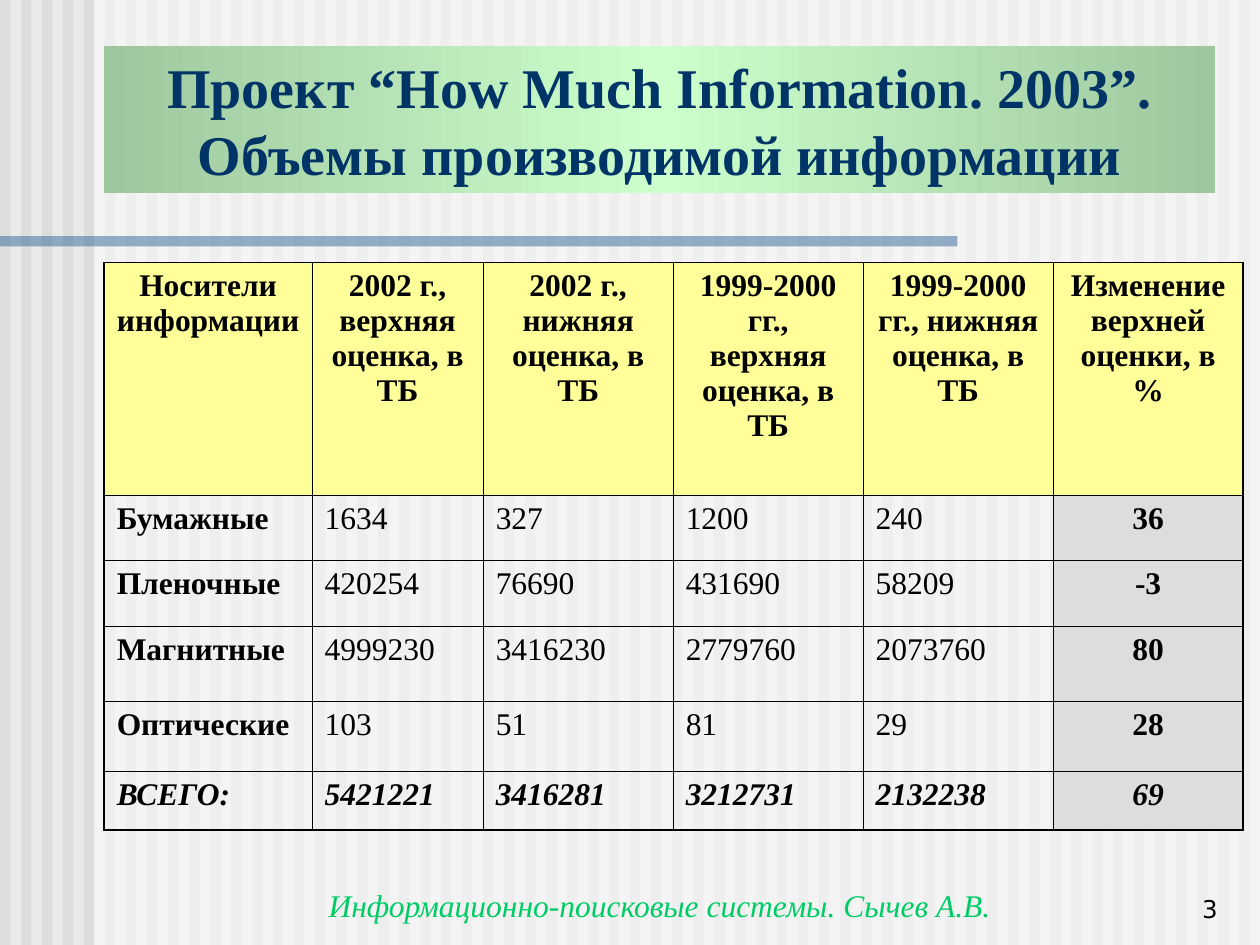
from dataclasses import dataclass

from lxml.etree import SubElement
from pptx import Presentation
from pptx.dml.color import RGBColor
from pptx.enum.shapes import MSO_SHAPE as Shape
from pptx.enum.text import MSO_ANCHOR as Anchor, PP_ALIGN as Align
from pptx.oxml.ns import qn
from pptx.util import Cm, Pt


@dataclass(frozen=True)
class Theme:
    background: str = "EAEAEA"
    stripe: str = "DDDDDD"
    veil: str = "FFFFFF"
    accent: str = "336699"
    title: str = "003366"
    title_edge: str = "9FC79F"
    title_middle: str = "CCFFCC"
    header: str = "FFFF99"
    change: str = "DDDDDD"
    text: str = "000000"
    footer: str = "00CC66"
    serif: str = "Times New Roman"
    sans: str = "DejaVu Sans"
    title_size: int = 32
    body_size: int = 18
    number_size: int = 14
    inner_line: float = 0.45
    outer_line: float = 1.08


THEME = Theme()
WIDTH, HEIGHT = 25.4, 19.05
STRIPE_COUNT = 60
COLUMN_WIDTHS = [4.19, 3.45, 3.83, 3.83, 3.83, 3.83]
ROW_HEIGHTS = [4.7, 1.31, 1.33, 1.51, 1.41, 1.18]
ROWS = [
    ["Носители информации", "2002 г., верхняя оценка, в ТБ", "2002 г., нижняя оценка, в ТБ",
     "1999-2000 гг., верхняя оценка, в ТБ", "1999-2000 гг., нижняя оценка, в ТБ",
     "Изменение верхней оценки, в %"],
    ["Бумажные", "1634", "327", "1200", "240", "36"],
    ["Пленочные", "420254", "76690", "431690", "58209", "-3"],
    ["Магнитные", "4999230", "3416230", "2779760", "2073760", "80"],
    ["Оптические", "103", "51", "81", "29", "28"],
    ["ВСЕГО:", "5421221", "3416281", "3212731", "2132238", "69"],
]


def write_text(text_frame, text, color, align=Align.LEFT, **font_format):
    text_frame.word_wrap = True
    paragraph = text_frame.paragraphs[0]
    paragraph.alignment = align
    run = paragraph.add_run()
    run.text = text
    run.font.color.rgb = RGBColor.from_string(color)
    for name, value in font_format.items():
        setattr(run.font, name, value)


def add_rectangle(slide, box, color, opacity=100):
    shape = slide.shapes.add_shape(Shape.RECTANGLE, *map(Cm, box))
    shape.shadow.inherit = False
    shape.line.fill.background()
    shape.fill.solid()
    shape.fill.fore_color.rgb = RGBColor.from_string(color)
    if opacity < 100:
        fill_color = shape.element.spPr.find(qn("a:solidFill")).find(qn("a:srgbClr"))
        SubElement(fill_color, qn("a:alpha"), val=str(opacity * 1000))
    return shape


def add_backdrop(slide, box):
    left, top, width, height = box
    slide.background.fill.solid()
    slide.background.fill.fore_color.rgb = RGBColor.from_string(THEME.background)
    pitch = width / STRIPE_COUNT
    for index in range(STRIPE_COUNT):
        add_rectangle(slide, (left + index * pitch, top, pitch / 2, height), THEME.stripe)
    add_rectangle(slide, (left + 1.9, top, width - 1.9, height), THEME.veil, 50)
    add_rectangle(slide, (left, top + 4.76, 19.3, 0.21), THEME.accent, 50)


def add_title(slide, box):
    shape = add_rectangle(slide, box, THEME.title_middle)
    shape.fill.gradient()
    shape.fill.gradient_angle = 0
    stops = shape.element.spPr.find(qn("a:gradFill")).find(qn("a:gsLst"))
    for stop in list(stops):
        stops.remove(stop)
    for position, color in ((0, THEME.title_edge), (50, THEME.title_middle), (100, THEME.title_edge)):
        stop = SubElement(stops, qn("a:gs"), pos=str(position * 1000))
        SubElement(stop, qn("a:srgbClr"), val=color)
    shape.text_frame.vertical_anchor = Anchor.BOTTOM
    write_text(shape.text_frame,
               "Проект “How Much Information. 2003”. Объемы производимой информации",
               THEME.title, Align.CENTER, name=THEME.serif, size=Pt(THEME.title_size), bold=True)


def set_borders(cell, widths):
    properties = cell._tc.get_or_add_tcPr()
    for side, width in widths.items():
        line = SubElement(properties, qn(f"a:ln{side}"), w=str(Pt(width)))
        fill = SubElement(line, qn("a:solidFill"))
        SubElement(fill, qn("a:srgbClr"), val=THEME.text)


def add_volume_table(slide, box):
    last_row, last_column = len(ROWS) - 1, len(COLUMN_WIDTHS) - 1
    table = slide.shapes.add_table(last_row + 1, last_column + 1, *map(Cm, box)).table
    table.first_row = table.horz_banding = False
    for column, width in zip(table.columns, COLUMN_WIDTHS):
        column.width = Cm(width)
    for row, height in zip(table.rows, ROW_HEIGHTS):
        row.height = Cm(height)
    for row_index, values in enumerate(ROWS):
        for column_index, value in enumerate(values):
            cell = table.cell(row_index, column_index)
            is_header = row_index == 0
            is_total = row_index == last_row
            is_change = column_index == last_column
            edges = {"L": column_index == 0, "R": is_change, "T": is_header, "B": is_total}
            set_borders(cell, {side: THEME.outer_line if outer else THEME.inner_line
                               for side, outer in edges.items()})
            if is_header or is_change:
                cell.fill.solid()
                color = THEME.header if is_header else THEME.change
                cell.fill.fore_color.rgb = RGBColor.from_string(color)
            else:
                cell.fill.background()
            write_text(cell.text_frame, value, THEME.text,
                       Align.CENTER if is_header or is_change else Align.LEFT,
                       name=THEME.serif, size=Pt(THEME.body_size), italic=is_total,
                       bold=is_header or is_total or is_change or column_index == 0)


def add_footer(slide, box):
    left, top, width, height = box
    number_width = 1.68
    parts = [
        (left, 19.2, "Информационно-поисковые системы. Сычев А.В.", THEME.footer, Align.CENTER,
         {"name": THEME.serif, "size": Pt(THEME.body_size), "italic": True}),
        (left + width - number_width, number_width, "3", THEME.text, Align.RIGHT,
         {"name": THEME.sans, "size": Pt(THEME.number_size)}),
    ]
    for part_left, part_width, text, color, align, font_format in parts:
        text_box = slide.shapes.add_textbox(*map(Cm, (part_left, top, part_width, height)))
        text_box.text_frame.vertical_anchor = Anchor.BOTTOM
        write_text(text_box.text_frame, text, color, align, **font_format)


def main():
    presentation = Presentation()
    presentation.slide_width, presentation.slide_height = Cm(WIDTH), Cm(HEIGHT)
    slide = presentation.slides.add_slide(presentation.slide_layouts[6])
    add_backdrop(slide, (0, 0, WIDTH, HEIGHT))
    add_footer(slide, (3.7, 17.48, 21.1, 1.27))
    add_title(slide, (2.1, 0.92, 22.4, 2.97))
    add_volume_table(slide, (2.1, 5.29, sum(COLUMN_WIDTHS), sum(ROW_HEIGHTS)))
    presentation.save("out.pptx")


if __name__ == "__main__":
    main()
